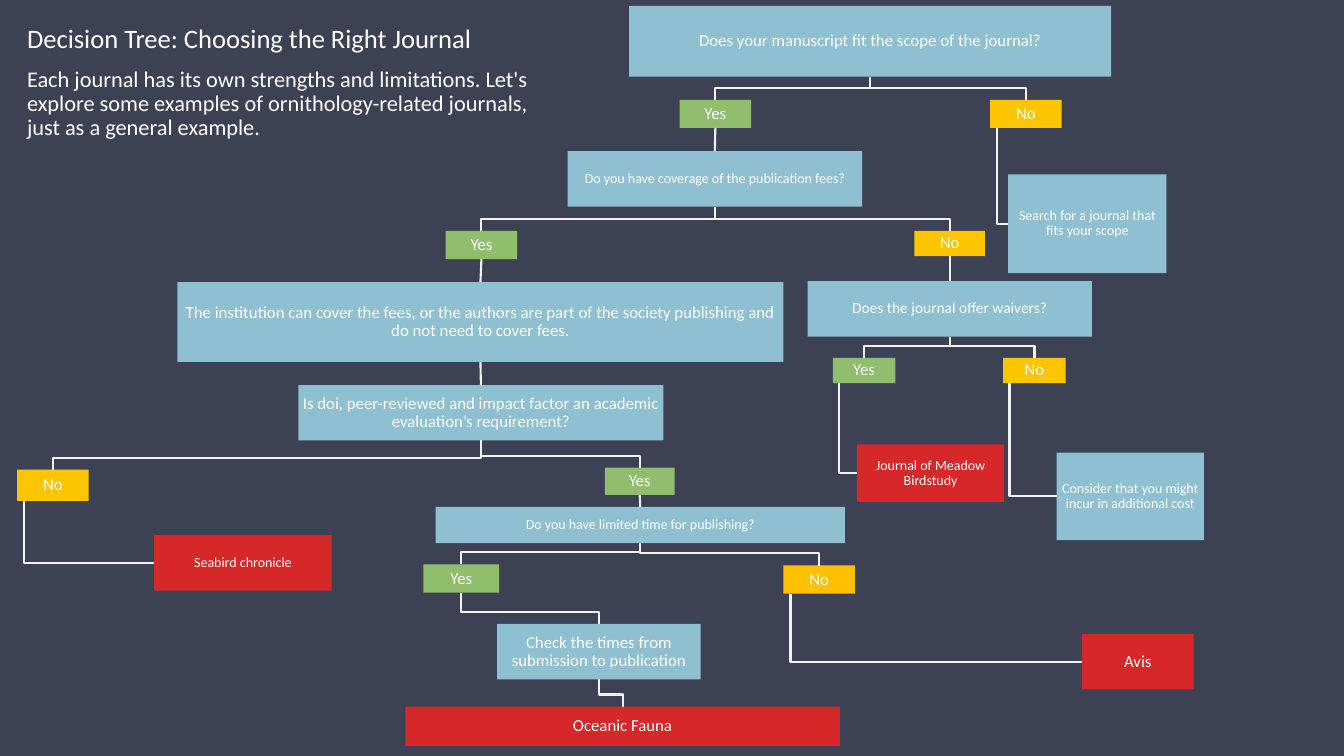
from dataclasses import dataclass

from lxml.etree import SubElement
from pptx import Presentation
from pptx.dml.color import RGBColor
from pptx.enum.shapes import MSO_CONNECTOR, MSO_SHAPE
from pptx.enum.text import MSO_ANCHOR, PP_ALIGN
from pptx.oxml.ns import qn
from pptx.util import Inches, Pt


@dataclass(frozen=True)
class Theme:
    background: RGBColor = RGBColor(0x3C, 0x41, 0x54)
    question: RGBColor = RGBColor(0x8F, 0xC0, 0xD1)
    yes: RGBColor = RGBColor(0x90, 0xBE, 0x6D)
    no: RGBColor = RGBColor(0xFD, 0xC5, 0x00)
    no_warm: RGBColor = RGBColor(0xFF, 0xC0, 0x00)
    journal: RGBColor = RGBColor(0xD6, 0x28, 0x28)
    line: RGBColor = RGBColor(0xF2, 0xF2, 0xF2)
    text: RGBColor = RGBColor(0xFF, 0xFF, 0xFF)
    font: str = "Calibri"
    title: int = 19
    intro: int = 16
    normal: int = 12
    medium: int = 11
    small: int = 10
    line_width: float = 1.5


T = Theme()
BEND_GAP = Inches(0.12)

# name: (text, left, top, width, height, fill, size)
BOXES = {
    "scope": ("Does your manuscript fit the scope of the journal?",
              6.24, 0.06, 4.78, 0.7, T.question, T.normal),
    "scope yes": ("Yes", 6.74, 0.99, 0.71, 0.28, T.yes, T.normal),
    "scope no": ("No", 9.82, 0.99, 0.71, 0.28, T.no, T.normal),
    "search": ("Search for a journal that fits your scope",
               10, 1.73, 1.57, 0.98, T.question, T.small),
    "fees": ("Do you have coverage of the publication fees?",
             5.63, 1.5, 2.92, 0.55, T.question, T.small),
    "fees yes": ("Yes", 4.42, 2.29, 0.71, 0.28, T.yes, T.normal),
    "fees no": ("No", 9.07, 2.29, 0.7, 0.25, T.no, T.normal),
    "covered": ("The institution can cover the fees, or the authors are part of the "
                "society publishing and do not need to cover fees.",
                1.76, 2.8, 6.01, 0.79, T.question, T.normal),
    "waivers": ("Does the journal offer waivers?",
                8.01, 2.79, 2.82, 0.55, T.question, T.medium),
    "waivers yes": ("Yes", 8.26, 3.55, 0.62, 0.25, T.yes, T.normal),
    "waivers no": ("No", 9.95, 3.55, 0.62, 0.25, T.no, T.normal),
    "field journal": ("Journal of Meadow Birdstudy",
                      8.5, 4.41, 1.46, 0.57, T.journal, T.small),
    "extra cost": ("Consider that you might incur in additional cost",
                   10.48, 4.49, 1.46, 0.87, T.question, T.small),
    "impact": ("Is doi, peer-reviewed and impact factor an academic "
               "evaluation’s requirement?",
               2.96, 3.82, 3.62, 0.55, T.question, T.normal),
    "impact no": ("No", 0.17, 4.66, 0.71, 0.31, T.no, T.normal),
    "impact yes": ("Yes", 6, 4.64, 0.69, 0.27, T.yes, T.normal),
    "seabird journal": ("Seabird chronicle", 1.53, 5.31, 1.76, 0.55, T.journal, T.small),
    "time": ("Do you have limited time for publishing?",
             4.32, 5.03, 4.06, 0.36, T.question, T.small),
    "time yes": ("Yes", 4.2, 5.6, 0.75, 0.28, T.yes, T.normal),
    "time no": ("No", 7.77, 5.61, 0.71, 0.28, T.no_warm, T.normal),
    "check times": ("Check the times from submission to publication",
                    4.93, 6.19, 2.02, 0.55, T.question, T.normal),
    "ocean journal": ("Oceanic Fauna", 4.02, 7.01, 4.31, 0.39, T.journal, T.normal),
    "short journal": ("Avis", 10.73, 6.29, 1.11, 0.55, T.journal, T.normal),
}
STRAIGHT = [("scope yes", "fees"), ("fees yes", "covered"), ("fees no", "waivers"),
            ("covered", "impact"), ("impact yes", "time")]
BENT = [("scope", "scope yes"), ("scope", "scope no"),
        ("fees", "fees yes"), ("fees", "fees no"),
        ("waivers", "waivers yes"), ("waivers", "waivers no"),
        ("impact", "impact no"), ("impact", "impact yes"),
        ("time", "time yes"), ("time", "time no"),
        ("time yes", "check times"), ("check times", "ocean journal")]
HOOKS = [("scope no", "search"), ("waivers yes", "field journal"),
         ("waivers no", "extra cost"), ("impact no", "seabird journal"),
         ("time no", "short journal")]


def format_paragraph(p, size):
    p.line_spacing = 0.9
    for r in p.runs:
        r.font.name = T.font
        r.font.size = Pt(size)
        r.font.color.rgb = T.text


def add_box(s, text, left, top, width, height, fill, size):
    sp = s.shapes.add_shape(MSO_SHAPE.RECTANGLE, Inches(left), Inches(top),
                            Inches(width), Inches(height))
    sp.shadow.inherit = False
    sp.fill.solid()
    sp.fill.fore_color.rgb = fill
    sp.line.fill.background()
    tf = sp.text_frame
    tf.word_wrap = True
    tf.vertical_anchor = MSO_ANCHOR.MIDDLE
    tf.margin_left = tf.margin_right = tf.margin_top = tf.margin_bottom = Inches(0.01)
    tf.text = text
    p = tf.paragraphs[0]
    p.alignment = PP_ALIGN.CENTER
    format_paragraph(p, size)
    return sp


def style_line(line):
    line.color.rgb = T.line
    line.width = Pt(T.line_width)


def add_straight(s, upper, lower):
    cx = s.shapes.add_connector(MSO_CONNECTOR.STRAIGHT, 0, 0, 0, 0)
    cx.begin_connect(upper, 2)
    cx.end_connect(lower, 0)
    style_line(cx.line)
    SubElement(cx._element.spPr, qn("a:effectLst"))


def add_polyline(s, start, *points):
    builder = s.shapes.build_freeform(*start)
    builder.add_line_segments(points, close=False)
    sp = builder.convert_to_shape()
    sp.shadow.inherit = False
    sp.fill.background()
    style_line(sp.line)


def add_bent(s, upper, lower):
    """Join bottom centre to top centre, turning just above the lower box."""
    x1, x2 = (b.left + b.width // 2 for b in (upper, lower))
    bend = lower.top - BEND_GAP
    add_polyline(s, (x1, upper.top + upper.height), (x1, bend), (x2, bend),
                 (x2, lower.top))


def add_hook(s, answer, outcome):
    """Drop from a tenth of the answer's width, then turn right to the outcome."""
    x = answer.left + answer.width // 10
    y = outcome.top + outcome.height // 2
    add_polyline(s, (x, answer.top + answer.height), (x, y), (outcome.left, y))


def add_intro(s):
    tf = s.shapes.add_textbox(Inches(0.17), Inches(0.2),
                              Inches(5.27), Inches(2.19)).text_frame
    tf.word_wrap = True
    tf.text = ("Decision Tree: Choosing the Right Journal\n"
               "Each journal has its own strengths and limitations. Let's explore some "
               "examples of ornithology-related journals, just as a general example.")
    for p, size in zip(tf.paragraphs, (T.title, T.intro)):
        p.space_before = Pt(10)
        format_paragraph(p, size)


def main():
    prs = Presentation()
    prs.slide_width, prs.slide_height = Inches(13.33), Inches(7.5)
    s = prs.slides.add_slide(prs.slide_layouts[6])
    s.background.fill.solid()
    s.background.fill.fore_color.rgb = T.background

    boxes = {name: add_box(s, *box) for name, box in BOXES.items()}
    for add_link, pairs in ((add_straight, STRAIGHT), (add_bent, BENT), (add_hook, HOOKS)):
        for start, end in pairs:
            add_link(s, boxes[start], boxes[end])
    add_intro(s)
    prs.save("out.pptx")


if __name__ == "__main__":
    main()
